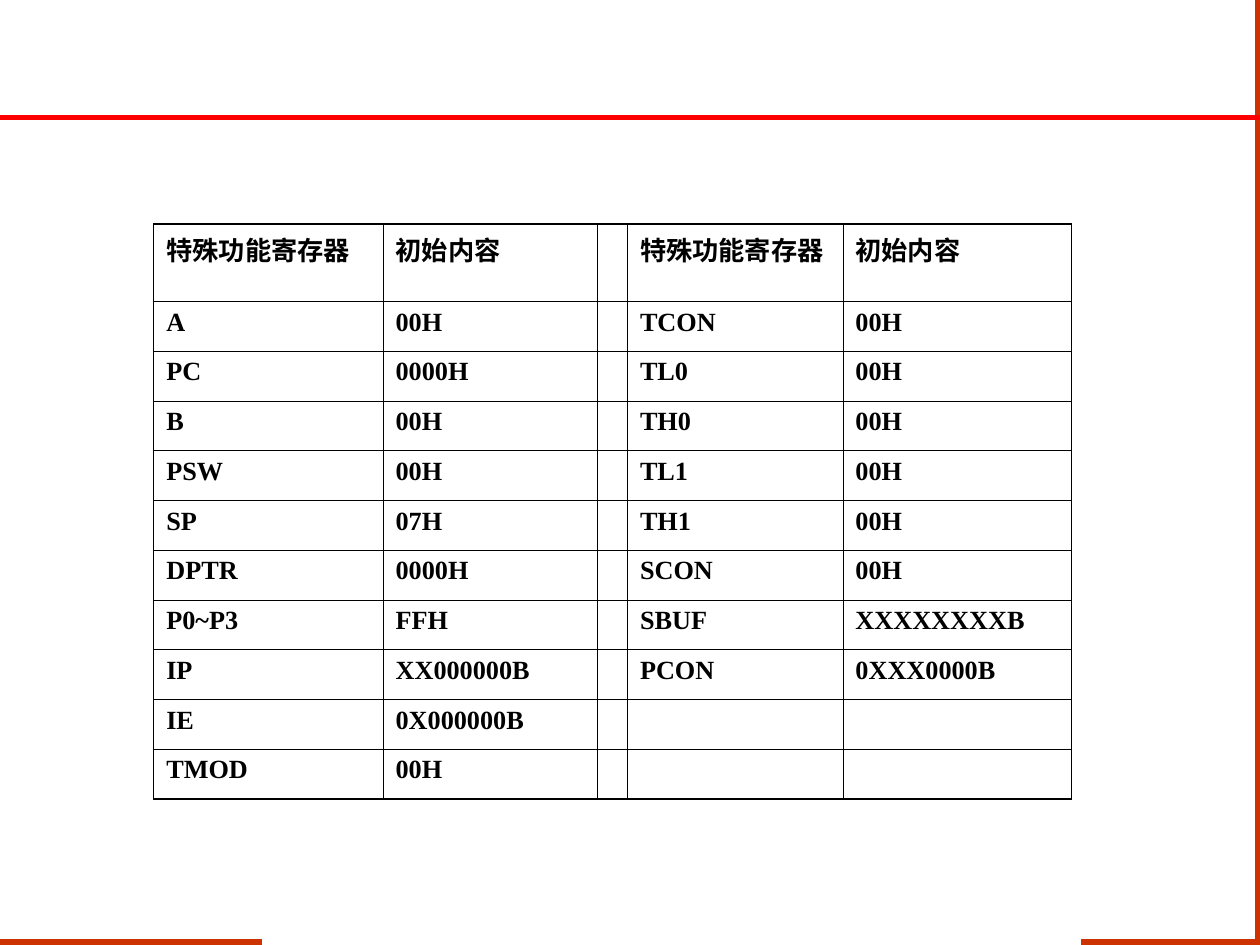
"""Build a slide with a table of the initial contents of special function registers."""
from lxml.etree import SubElement as Sub
from pptx import Presentation
from pptx.dml.color import RGBColor as Rgb
from pptx.enum.shapes import MSO_CONNECTOR as Conn
from pptx.oxml.ns import qn
from pptx.util import Inches, Pt

INK = {"rule": "FF0000", "edge": "CC3300", "text": "000000"}
FONT = "Times New Roman"

deck = Presentation()
deck.slide_width, deck.slide_height = Inches(10), Inches(7.5)
wide, high = deck.slide_width, deck.slide_height
slide = deck.slides.add_slide(deck.slide_layouts[6])

lines = [
    ("edge", 0.208, 0.997, 0, 0.997),
    ("edge", 0.998, 1, 0.998, 0),
    ("edge", 0.996, 0.997, 0.858, 0.997),
    ("rule", 1, 0.124, 0, 0.124),
]
for ink, x1, y1, x2, y2 in lines:
    line = slide.shapes.add_connector(
        Conn.STRAIGHT, int(x1 * wide), int(y1 * high), int(x2 * wide), int(y2 * high))
    line.line.color.rgb = Rgb.from_string(INK[ink])
    line.line.width = Pt(3)
    Sub(line._element.spPr, qn("a:effectLst"))

head = ("特殊功能寄存器", "初始内容")
left = [
    head, ("A", "00H"), ("PC", "0000H"), ("B", "00H"), ("PSW", "00H"), ("SP", "07H"),
    ("DPTR", "0000H"), ("P0~P3", "FFH"), ("IP", "XX000000B"), ("IE", "0X000000B"),
    ("TMOD", "00H"),
]
right = [
    head, ("TCON", "00H"), ("TL0", "00H"), ("TH0", "00H"), ("TL1", "00H"), ("TH1", "00H"),
    ("SCON", "00H"), ("SBUF", "XXXXXXXXB"), ("PCON", "0XXX0000B"), ("", ""), ("", ""),
]
rows = [(*a, "", *b) for a, b in zip(left, right)]
cols = [0.182, 0.17, 0.024, 0.171, 0.181]
tall = [0.082] + [0.0527] * 10
last, end = len(rows) - 1, len(cols) - 1

grid = slide.shapes.add_table(
    len(rows), len(cols), int(0.122 * wide), int(0.237 * high),
    int(sum(cols) * wide), int(sum(tall) * high)).table
grid.first_row = grid.horz_banding = False
for col, share in zip(grid.columns, cols):
    col.width = int(share * wide)
for row, share in zip(grid.rows, tall):
    row.height = int(share * high)

for r, row in enumerate(rows):
    for c, word in enumerate(row):
        cell = grid.cell(r, c)
        sides = {
            "lnL": 0.34 if c == 0 else 0.45,
            "lnR": 0.34 if c == end else 0.45,
            "lnT": 0.96 if r == 0 else 0.45,
            "lnB": 0.96 if r == last else 0.45,
        }
        props = cell._tc.get_or_add_tcPr()
        for side, size in sides.items():
            edge = Sub(props, qn("a:" + side), w=str(Pt(size)))
            Sub(Sub(edge, qn("a:solidFill")), qn("a:srgbClr"), val=INK["text"])
        cell.fill.background()
        if not word:
            cell.margin_top = cell.margin_bottom = 0
            continue
        cell.text_frame.text = word
        font = cell.text_frame.paragraphs[0].runs[0].font
        font.name, font.size, font.bold = FONT, Pt(15), True
        font.color.rgb = Rgb.from_string(INK["text"])

deck.save("out.pptx")
